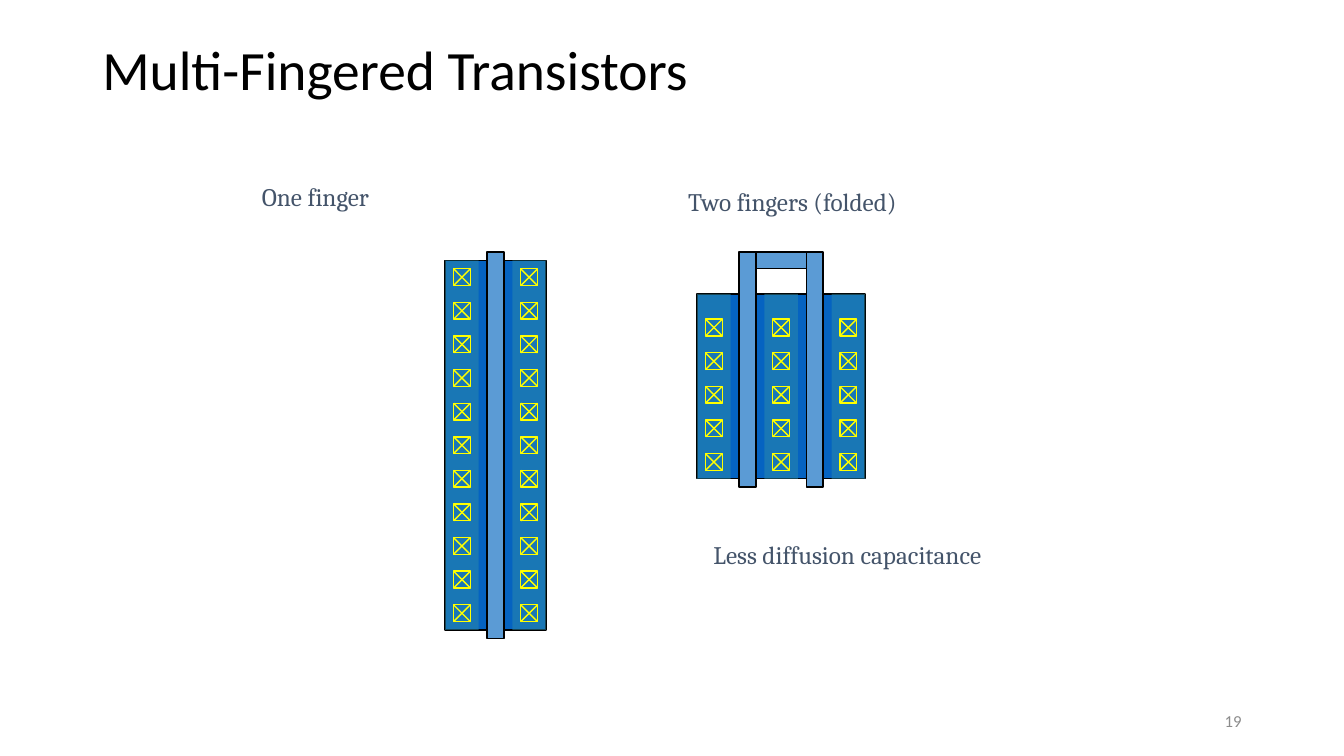
from lxml.etree import SubElement
from pptx import Presentation
from pptx.dml.color import RGBColor
from pptx.enum.shapes import MSO_CONNECTOR, MSO_SHAPE
from pptx.enum.text import MSO_ANCHOR, MSO_AUTO_SIZE, PP_ALIGN
from pptx.oxml.ns import qn
from pptx.util import Cm, Pt

THEME = {
    "ink": RGBColor.from_string("000000"),
    "label": RGBColor.from_string("44546A"),
    "muted": RGBColor.from_string("8C8C8C"),
    "body": RGBColor.from_string("0563C1"),
    "diffusion": RGBColor.from_string("2E8CAA"),
    "gate": RGBColor.from_string("5B9BD5"),
    "contact": RGBColor.from_string("FFFF00"),
    "title_size": Pt(39.6),
    "label_size": Pt(18),
    "number_size": Pt(12),
    "title_font": "Calibri",
    "label_font": "Cambria",
    "outline": Pt(1),
}
UNIT = 2.54 / 12
FINGER_PITCH = 8
CONTACT_PITCH = 4
GATE_TOP = 30


def add_rectangle(shapes, left, top, width, height, fill=None, line=None):
    box = shapes.add_shape(
        MSO_SHAPE.RECTANGLE, *(Cm(UNIT * value) for value in (left, top, width, height))
    )
    box.shadow.inherit = False
    if fill:
        box.fill.solid()
        box.fill.fore_color.rgb = THEME[fill]
    else:
        box.fill.background()
    if line:
        box.line.color.rgb = THEME[line]
        box.line.width = THEME["outline"]
    else:
        box.line.fill.background()
    return box


def add_text(shapes, text, bounds, font, color, frame, paragraph):
    box = shapes.add_textbox(*(Cm(value) for value in bounds))
    para = box.text_frame.paragraphs[0]
    span = para.add_run()
    span.text = text
    span.font.color.rgb = THEME[color]
    for target, values in ((box.text_frame, frame), (para, paragraph), (span.font, font)):
        for name, value in values.items():
            setattr(target, name, value)


deck = Presentation()
deck.slide_width = Cm(33.87)
deck.slide_height = Cm(19.05)
page = deck.slides.add_slide(deck.slide_layouts[6])

title_font = {"name": THEME["title_font"], "size": THEME["title_size"]}
number_font = {"name": THEME["title_font"], "size": THEME["number_size"]}
label_font = {"name": THEME["label_font"], "size": THEME["label_size"]}
middle = {"word_wrap": True, "vertical_anchor": MSO_ANCHOR.MIDDLE}
unwrapped = {"word_wrap": False, "auto_size": MSO_AUTO_SIZE.SHAPE_TO_FIT_TEXT}

add_text(page.shapes, "Multi-Fingered Transistors", (2.33, 1.02, 29.21, 1.63),
         title_font, "ink", middle, {"line_spacing": 0.9})
add_text(page.shapes, "19", (23.92, 17.66, 7.62, 1.01),
         number_font, "muted", middle, {"alignment": PP_ALIGN.RIGHT})

transistors = [
    {"left": 53, "top": 31, "height": 44, "fingers": 1, "contact_top": 32, "contacts": 11},
    {"left": 83, "top": 35, "height": 22, "fingers": 2, "contact_top": 38, "contacts": 5},
]
for transistor in transistors:
    left, top, height = transistor["left"], transistor["top"], transistor["height"]
    fingers = transistor["fingers"]
    add_rectangle(page.shapes, left, top, FINGER_PITCH * fingers + 4, height, "body", "ink")

    for column in range(fingers + 1):
        strip_left = left + FINGER_PITCH * column
        strip = add_rectangle(page.shapes, strip_left, top, 4, height, "diffusion")
        strip_color = strip.fill._xPr.find(qn("a:solidFill"))[0]
        SubElement(strip_color, qn("a:alpha"), val="50000")

        for row in range(transistor["contacts"]):
            x = strip_left + 1
            y = transistor["contact_top"] + CONTACT_PITCH * row
            contact = page.shapes.add_group_shape()
            add_rectangle(contact.shapes, x, y, 2, 2, line="contact")
            for start, end in ((x, x + 2), (x + 2, x)):
                diagonal = contact.shapes.add_connector(
                    MSO_CONNECTOR.STRAIGHT,
                    *(Cm(UNIT * value) for value in (start, y, end, y + 2)),
                )
                diagonal.line.color.rgb = THEME["contact"]
                diagonal.line.width = THEME["outline"]
                SubElement(diagonal._element.spPr, qn("a:effectLst"))

    for finger in range(fingers):
        gate_left = left + 5 + FINGER_PITCH * finger
        add_rectangle(page.shapes, gate_left, GATE_TOP, 2, top + height + 1 - GATE_TOP, "gate", "ink")
        if finger:
            add_rectangle(page.shapes, gate_left - 6, GATE_TOP, 6, 2, "gate", "ink")

labels = [
    ("One finger", (6.35, 4.45, 3.53, 1.02)),
    ("Two fingers (folded)", (17.09, 4.57, 6.3, 1.02)),
    ("Less diffusion capacitance", (17.73, 13.46, 7.87, 1.02)),
]
for text, bounds in labels:
    add_text(page.shapes, text, bounds, label_font, "label", unwrapped, {})

deck.save("out.pptx")
